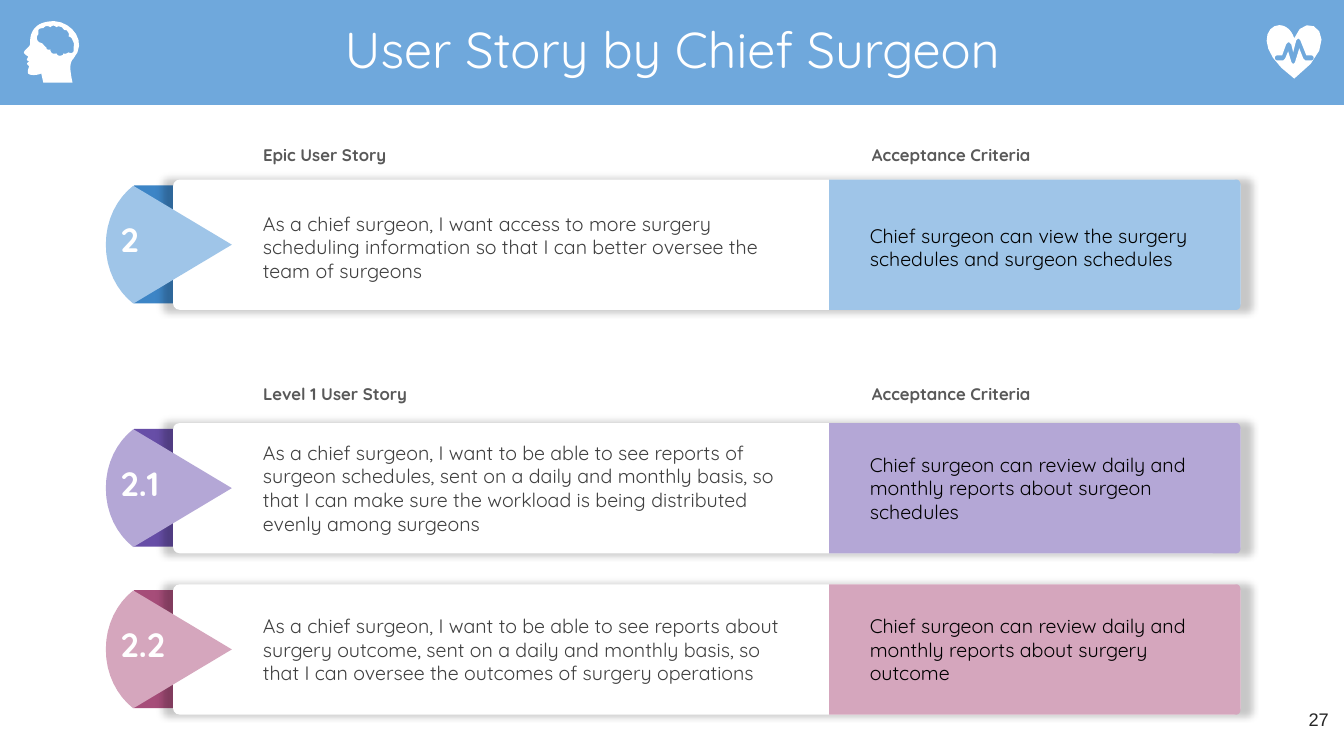
from lxml import etree
from pptx import Presentation
from pptx.dml.color import RGBColor
from pptx.enum import shapes, text
from pptx.oxml.ns import qn
from pptx.util import Pt

# Content
TITLE = "User Story by Chief Surgeon"
PAGE_NUMBER = "27"
HEADINGS = [  # top, story heading
    (100, "Epic User Story"),
    (270.5, "Level 1 User Story"),
]
CRITERIA_HEADING = "Acceptance Criteria"
STORIES = [  # card top, text offset, number, story, criteria, light colour, dark colour
    (128.3, 14.3, "2",
     "As a chief surgeon, I want access to more surgery scheduling information "
     "so that I can better oversee the team of surgeons",
     "Chief surgeon can view the surgery schedules and surgeon schedules",
     "9FC5E8", "3D85C6"),
    (302.2, 12.5, "2.1",
     "As a chief surgeon, I want to be able to see reports of surgeon schedules, "
     "sent on a daily and monthly basis, so that I can make sure the workload is "
     "being distributed evenly among surgeons",
     "Chief surgeon can review daily and monthly reports about surgeon schedules",
     "B4A7D6", "674EA7"),
    (417.4, 12.5, "2.2",
     "As a chief surgeon, I want to be able to see reports about surgery outcome, "
     "sent on a daily and monthly basis, so that I can oversee the outcomes of "
     "surgery operations",
     "Chief surgeon can review daily and monthly reports about surgery outcome",
     "D5A6BD", "A64D79"),
]

# Icon contours: pairs are corners, sixes are cubic curves
HEART = [
    [(1269, 25), (1275, 25, 1281, 29, 1284, 38), (1295, 6, 1339, 38, 1284, 78),
     (1244, 49, 1256, 25, 1269, 25)],
    [(1288, 38), (1286, 40), (1283, 52), (1281, 44), (1279, 42), (1278, 42),
     (1276, 44), (1272, 55), (1267, 55), (1264, 55, 1264, 60, 1267, 60),
     (1273, 60), (1275, 58), (1278, 51), (1281, 61), (1282, 64, 1284, 64, 1285, 61),
     (1289, 48), (1293, 58), (1295, 60), (1301, 60),
     (1304, 60, 1304, 55, 1301, 55), (1296, 55), (1290, 40)],
]
HEAD = [
    [(54, 21), (72, 22, 87, 42, 73, 58), (69, 62, 69, 68, 72, 82), (43, 82),
     (41, 73), (36, 75, 30, 75, 28, 73), (27, 72, 28, 68, 29, 66),
     (29, 65, 27, 65, 27, 63), (27, 62, 28, 62, 29, 61), (27, 60),
     (26, 59, 28, 57, 28, 56), (26, 55, 25, 54, 24, 53),
     (23, 51, 26, 49, 29, 46), (31, 43, 29, 40, 31, 34), (34, 25, 42, 21, 54, 21)],
    [(43, 28), (41, 28, 39, 28, 38, 30), (38, 31, 38, 32, 38, 34),
     (36, 36, 36, 40, 39, 42), (40, 42, 41, 43, 42, 43), (43, 44, 44, 46, 46, 47),
     (46, 49, 48, 50, 50, 49), (50, 53, 53, 54, 56, 53), (57, 55, 59, 56, 61, 55),
     (62, 55, 63, 54, 63, 53), (65, 54, 66, 53, 68, 52), (70, 53, 72, 53, 73, 51),
     (73, 50, 73, 48, 73, 47), (74, 43, 73, 42, 72, 40), (72, 39, 71, 37, 68, 36),
     (69, 34, 68, 32, 66, 30), (65, 30, 64, 30, 63, 29), (62, 28, 62, 27, 61, 27),
     (59, 26, 57, 26, 56, 27), (54, 25, 52, 25, 50, 27), (47, 25, 45, 26, 44, 27)],
]
ICON_UNIT = 0.72

THEME = {
    "banner": "6FA8DC", "white": "FFFFFF", "story": "3F3F3F", "criteria": "000000",
    "heading": "595959", "page": "262626", "font": "Quicksand", "page_font": "Arial",
    "title_size": 36, "number_size": 24, "body_size": 14, "heading_size": 12,
    "page_size": 13,
}

# Layout
SLIDE_W, SLIDE_H = 960, 540
CARD_X, CARD_W, CARD_H = 123.6, 762.6, 93
PANEL_X = 592.3
STORY_X, CRITERIA_X = 180.7, 614.2
TEXT_H = 67.7

deck = Presentation()
deck.slide_width, deck.slide_height = Pt(SLIDE_W), Pt(SLIDE_H)
slide = deck.slides.add_slide(deck.slide_layouts[6])


def paint(shape, colour):
    shape.shadow.inherit = False
    shape.fill.solid()
    shape.fill.fore_color.rgb = RGBColor.from_string(colour)
    shape.line.fill.background()
    return shape


def block(kind, x, y, w, h, colour):
    return paint(slide.shapes.add_shape(kind, Pt(x), Pt(y), Pt(w), Pt(h)), colour)


def outline(contours, colour, unit=1, steps=8):
    builder = None
    for contour in contours:
        points = [contour[0]]
        for part in contour[1:]:
            if len(part) == 2:
                points.append(part)
                continue
            ax, ay = points[-1]
            bx, by, cx, cy, dx, dy = part
            for step in range(1, steps + 1):
                t = step / steps
                s = 1 - t
                points.append(tuple(
                    s**3 * a + 3 * s * s * t * b + 3 * s * t * t * c + t**3 * d
                    for a, b, c, d in ((ax, bx, cx, dx), (ay, by, cy, dy))))
        points = [(Pt(px * unit), Pt(py * unit)) for px, py in points]
        if builder is None:
            builder = slide.shapes.build_freeform(*points[0])
        else:
            builder.move_to(*points[0])
        builder.add_line_segments(points[1:], close=True)
    return paint(builder.convert_to_shape(), colour)


def write(words, x, y, w, h, size, colour, bold=False, inset=7.2, pad=3.6,
          align=text.PP_ALIGN.LEFT, anchor=text.MSO_ANCHOR.MIDDLE,
          font=THEME["font"], spacing=None):
    frame = slide.shapes.add_textbox(Pt(x), Pt(y), Pt(w), Pt(h)).text_frame
    frame.word_wrap = True
    frame.vertical_anchor = anchor
    frame.margin_left = frame.margin_right = Pt(inset)
    frame.margin_top = frame.margin_bottom = Pt(pad)
    line = frame.paragraphs[0]
    line.text = words
    line.alignment = align
    if spacing:
        line.line_spacing = spacing
    line.font.name, line.font.size, line.font.bold = font, Pt(THEME[size]), bold
    line.font.color.rgb = RGBColor.from_string(THEME[colour])


def add_glow(card):
    effects = card._element.spPr.find(qn("a:effectLst"))
    glow = etree.SubElement(effects, qn("a:outerShdw"), blurRad=str(Pt(5)),
                            sx="102000", sy="102000", algn="ctr", rotWithShape="0")
    black = etree.SubElement(glow, qn("a:srgbClr"), val="000000")
    etree.SubElement(black, qn("a:alpha"), val="22000")


# Story rows
for top, text_dy, number, story, criteria, light, dark in STORIES:
    bottom, middle = top + CARD_H, top + CARD_H / 2
    right = CARD_X + CARD_W
    block(shapes.MSO_SHAPE.RECTANGLE, 95.8, top + 4.2, 173.5, 84.2, dark)
    card = block(shapes.MSO_SHAPE.ROUNDED_RECTANGLE, CARD_X, top, CARD_W, CARD_H,
                 THEME["white"])
    card.adjustments[0] = 0.05
    add_glow(card)
    outline([[(165.6, middle), (95.2, middle + 42.1),
              (83.5, middle + 33, 75.6, middle + 17.7, 75.6, middle),
              (75.6, middle - 17.7, 83.5, middle - 33, 95.2, middle - 42.1)]], light)
    outline([[(PANEL_X, top), (right - 3, top),
              (right - 1, top, right, top + 2, right, top + 4.5), (right, bottom - 4.5),
              (right, bottom - 2, right - 1, bottom, right - 3, bottom),
              (PANEL_X, bottom)]], light)
    write(number, 77.5, top + 17, 90, 51, "number_size", "white", True, 8.6)
    write(story, STORY_X, top + text_dy, 389.5, TEXT_H, "body_size", "story")
    write(criteria, CRITERIA_X, top + text_dy, 262, TEXT_H, "body_size", "criteria")

# Column headings
for top, heading in HEADINGS:
    for x, words in ((179.3, heading), (CRITERIA_X, CRITERIA_HEADING)):
        write(words, x, top, 201, 21.6, "heading_size", "heading", True, 8.6)

# Banner with icons
block(shapes.MSO_SHAPE.RECTANGLE, 0, 0, SLIDE_W, 75, THEME["banner"])
write(TITLE, 24.5, 8.6, 911.5, 57, "title_size", "white",
      align=text.PP_ALIGN.CENTER, spacing=0.9)
for icon in (HEART, HEAD):
    outline(icon, THEME["white"], ICON_UNIT)

# Page number
write(PAGE_NUMBER, 898.6, 499, 57.6, 41, "page_size", "page", pad=7.2,
      align=text.PP_ALIGN.RIGHT, anchor=text.MSO_ANCHOR.TOP, font=THEME["page_font"])

deck.save("out.pptx")
